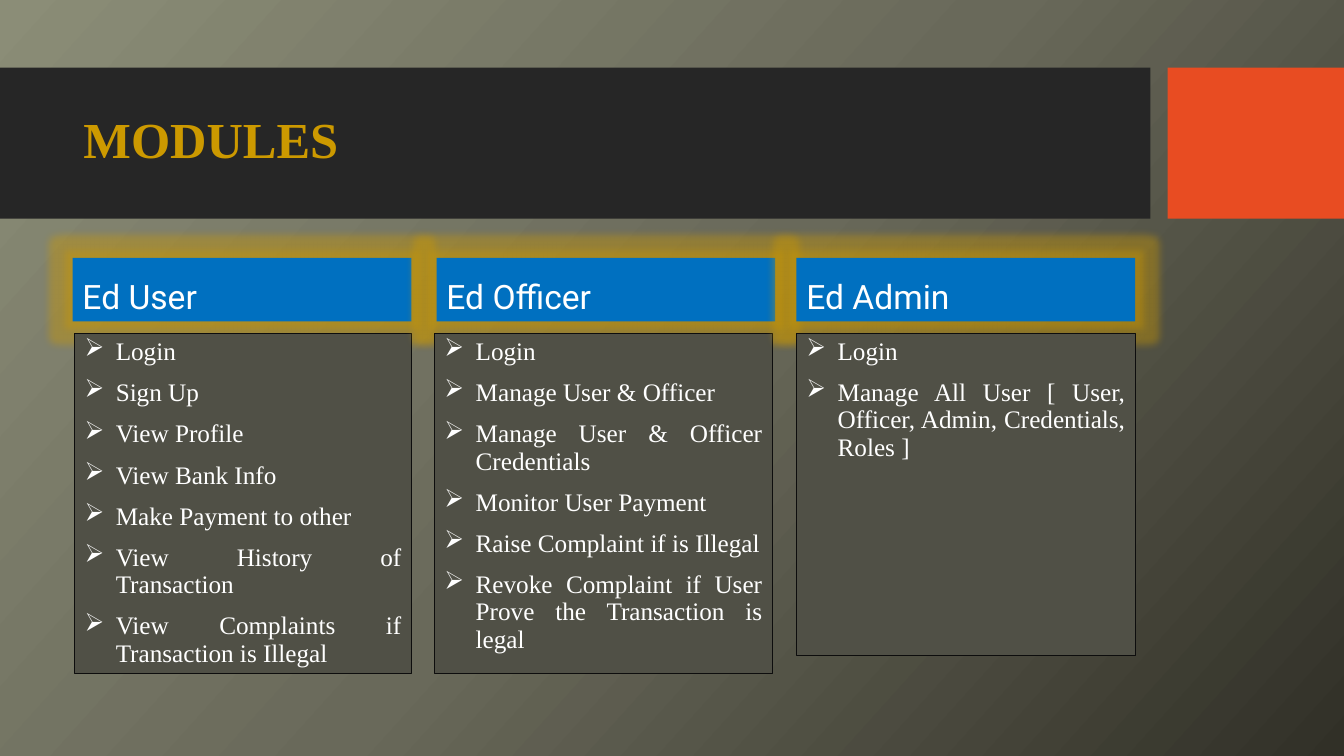
"""Build the MODULES slide: three roles, each with its list of functions."""
from lxml import etree
from pptx import Presentation
from pptx import util as u
from pptx.dml.color import RGBColor
from pptx.enum import shapes, text
from pptx.oxml import ns

TITLE = "MODULES"
MODULES = [
    ("Ed User", 0.72, (0.74, 3.34, 3.37), [
        "Login", "Sign Up", "View Profile", "View Bank Info",
        "Make Payment to other", "View History of Transaction",
        "View Complaints if Transaction is Illegal"]),
    ("Ed Officer", 4.33, (4.31, 3.35, 3.37), [
        "Login", "Manage User & Officer", "Manage User & Officer Credentials",
        "Monitor User Payment", "Raise Complaint if is Illegal",
        "Revoke Complaint if User Prove the Transaction is legal"]),
    ("Ed Admin", 7.9, (7.9, 3.36, 3.19), [
        "Login",
        "Manage All User [ User, Officer, Admin, Credentials, Roles ]"]),
]
THEME = {
    "backdrop": [(0, "8B8D77"), (50, "69695A"), (100, "313027")],
    "angle": 42, "band": "262626", "accent": "E84C22", "gold": "CC9900",
    "header": "0070C0", "panel": "505046", "border": "0D0D0D", "ink": "FFFFFF",
    "serif": "Times New Roman", "sans": "Roboto",
    "title_size": 36, "header_size": 24, "item_size": 18,
}
HEADER_TOP, HEADER_WIDTH, HEADER_HEIGHT, PANEL_TOP = 2.56, 3.36, 0.63, 3.31
INDENT = u.Inches(0.31)


def child(parent, tag, **attributes):
    """Append a DrawingML element to parent."""
    element = etree.SubElement(parent, ns.qn("a:" + tag))
    for key, value in attributes.items():
        element.set(key, str(value))
    return element


def paint_backdrop(slide):
    """Fill the background with the theme gradient."""
    fill = slide.background.fill
    fill.gradient()
    fill.gradient_angle = 360 - THEME["angle"]
    stops = next(slide.element.iter(ns.qn("a:gsLst")))
    for stop in list(stops):
        stops.remove(stop)
    for position, color in THEME["backdrop"]:
        child(child(stops, "gs", pos=position * 1000), "srgbClr", val=color)


def block(slide, left, top, width, height, color, border=None, glow=None):
    """Add a rectangle, optionally outlined or glowing."""
    rect = slide.shapes.add_shape(
        shapes.MSO_SHAPE.RECTANGLE, *map(u.Inches, (left, top, width, height)))
    rect.shadow.inherit = False
    rect.fill.solid()
    rect.fill.fore_color.rgb = RGBColor.from_string(color)
    if border:
        rect.line.color.rgb = RGBColor.from_string(border)
        rect.line.width = u.Pt(0.75)
    else:
        rect.line.fill.background()
    if glow:
        effects = rect.element.spPr.find(ns.qn("a:effectLst"))
        halo = child(child(effects, "glow", rad=u.Pt(11)), "srgbClr", val=glow)
        child(halo, "alpha", val=40000)
    return rect


def write(holder, lines, *, font, size, color, anchor, bold=False, bullet=None):
    """Write lines as paragraphs, justified and indented when bulleted."""
    frame = holder.text_frame
    frame.word_wrap = True
    frame.vertical_anchor = anchor
    for index, line in enumerate(lines):
        paragraph = frame.add_paragraph() if index else frame.paragraphs[0]
        if bullet:
            properties = paragraph._p.get_or_add_pPr()
            properties.set("marL", str(INDENT))
            properties.set("indent", str(-INDENT))
            child(properties, "buChar", char=bullet)
        paragraph.alignment = text.PP_ALIGN.JUSTIFY if bullet else text.PP_ALIGN.LEFT
        paragraph.line_spacing = 0.9
        if index:
            paragraph.space_before = u.Pt(10)
        run = paragraph.add_run()
        run.text = line
        run.font.name = font
        run.font.size = u.Pt(size)
        run.font.bold = bold
        run.font.color.rgb = RGBColor.from_string(color)


def main():
    """Draw the slide and save it."""
    deck = Presentation()
    deck.slide_width, deck.slide_height = u.Inches(13.33), u.Inches(7.5)
    slide = deck.slides.add_slide(deck.slide_layouts[6])
    paint_backdrop(slide)
    block(slide, 0, 0.67, 11.41, 1.5, THEME["band"])
    block(slide, 11.58, 0.67, 1.75, 1.5, THEME["accent"])
    heading = slide.shapes.add_textbox(*map(u.Inches, (0.73, 0.82, 10.53, 1.18)))
    write(heading, [TITLE], font=THEME["serif"], size=THEME["title_size"],
          color=THEME["gold"], anchor=text.MSO_ANCHOR.MIDDLE, bold=True)
    for role, header_left, (left, width, height), functions in MODULES:
        header = block(slide, header_left, HEADER_TOP, HEADER_WIDTH, HEADER_HEIGHT,
                       THEME["header"], glow=THEME["gold"])
        write(header, [role], font=THEME["sans"], size=THEME["header_size"],
              color=THEME["ink"], anchor=text.MSO_ANCHOR.BOTTOM)
        panel = block(slide, left, PANEL_TOP, width, height,
                      THEME["panel"], border=THEME["border"])
        write(panel, functions, font=THEME["serif"], size=THEME["item_size"],
              color=THEME["ink"], anchor=text.MSO_ANCHOR.TOP, bullet="➢")
    deck.save("out.pptx")


if __name__ == "__main__":
    main()
